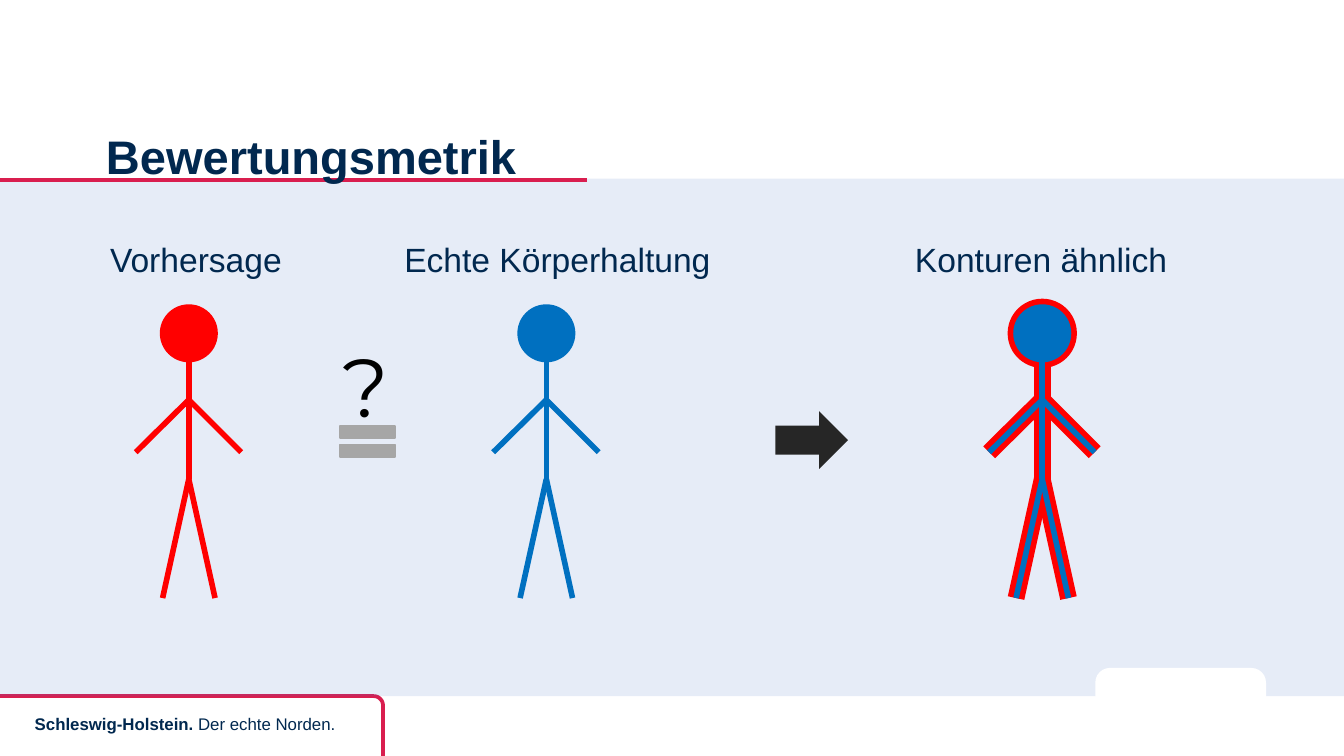
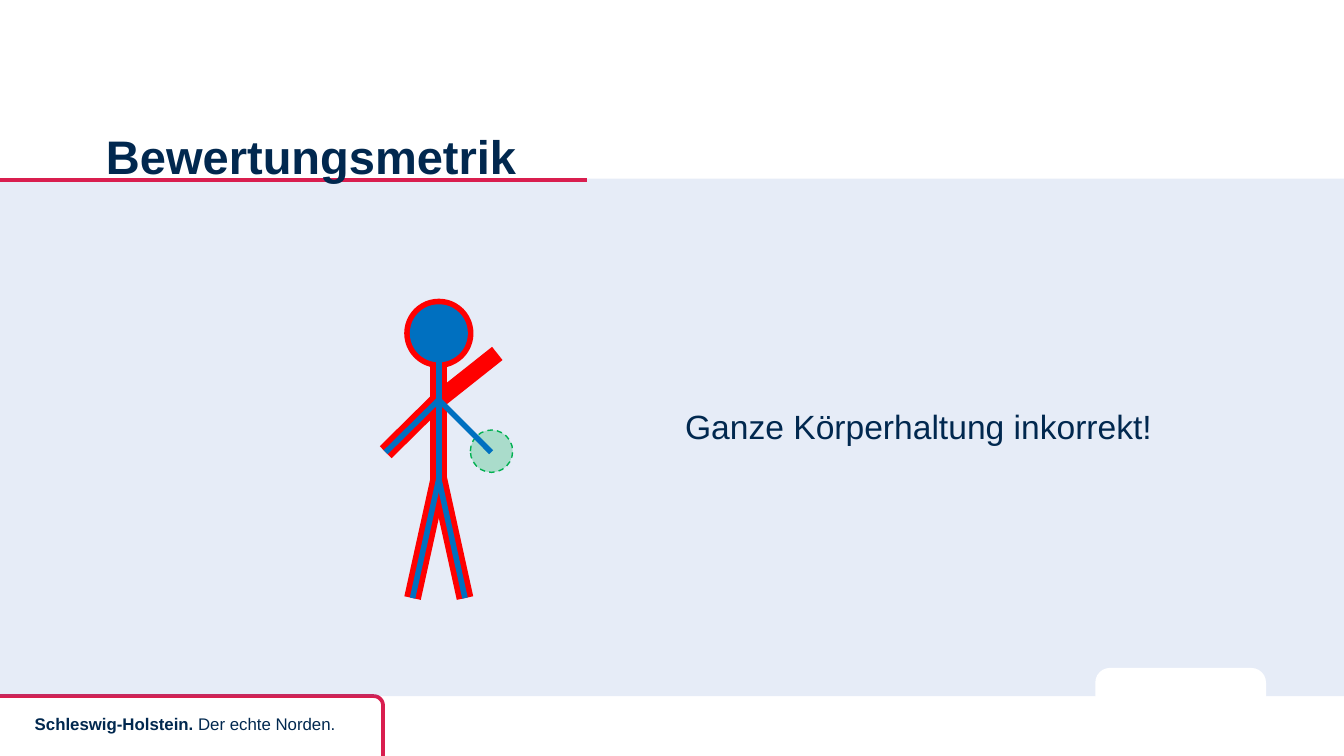
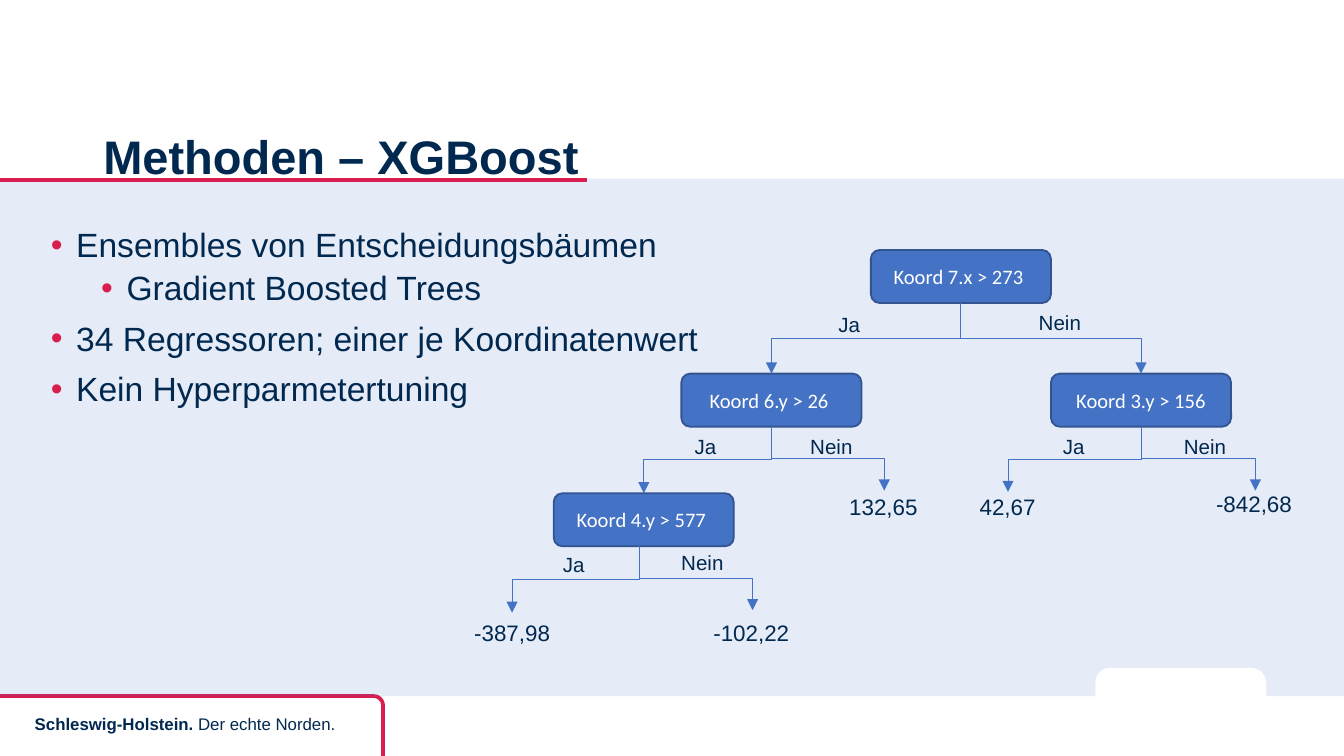
from math import cos, pi, sin

from lxml.etree import SubElement
from pptx import Presentation
from pptx.dml.color import RGBColor as RGB
from pptx.enum.dml import MSO_LINE as Dash
from pptx.enum.shapes import MSO_CONNECTOR as Link, MSO_SHAPE as Kind
from pptx.enum.text import MSO_ANCHOR as Anchor, PP_ALIGN as Align
from pptx.oxml.ns import qn
from pptx.util import Inches, Pt

# The grid has square cells: 100 columns by 56.25 rows.
WIDE, HIGH = 100, 56.25
CELL = Inches(10) / WIDE

NAVY, PINK, SKY = "01284F", "D91E4F", "4472C4"
RED, BLUE, WHITE = "FF0000", "0070C0", "FFFFFF"
EDGE, GREEN, GREY, DARK, BLACK = "325491", "00B050", "A6A6A6", "262626", "000000"

TITLE = {"size": Pt(25.2), "bold": True}
LABEL = {"size": Pt(18)}
VALUE = {"size": Pt(12)}
CHOICE = {"size": Pt(11)}
NODE = {"size": Pt(11), "name": "Calibri"}
SMALL = {"size": Pt(9)}
TIGHT = {"line_spacing": 0.9}


def cells(*nums):
    return [round(n * CELL) for n in nums]


def color(hue):
    return RGB.from_string(hue)


def assign(item, values):
    for key, value in values.items():
        setattr(item, key, value)


def stroke(line, hue, width):
    line.color.rgb = color(hue)
    line.width = Pt(width)


def paint(shape, hue, edge=None, width=1, alpha=None):
    """Fill and outline a shape; alpha is the opacity in percent."""
    shape.shadow.inherit = False
    shape.fill.solid()
    shape.fill.fore_color.rgb = color(hue)
    if alpha:
        tint = shape._element.spPr.find(qn("a:solidFill"))[0]
        SubElement(tint, qn("a:alpha")).set("val", str(alpha * 1000))
    if edge:
        stroke(shape.line, edge, width)
    else:
        shape.line.fill.background()


def block(slide, kind, box, *look, **more):
    shape = slide.shapes.add_shape(kind, *cells(*box))
    paint(shape, *look, **more)
    return shape


def write(para, words, font, hue=NAVY):
    run = para.add_run()
    run.text = words
    assign(run.font, {"name": "Arial", **font})
    run.font.color.rgb = color(hue)


def text(slide, box, words, font, hue=NAVY, wrap=False, **frame):
    body = slide.shapes.add_textbox(*cells(*box)).text_frame
    assign(body, {"word_wrap": wrap, **frame})
    write(body.paragraphs[0], words, font, hue)
    return body


def link(slide, start, end, hue, width, kind=Link.STRAIGHT):
    line = slide.shapes.add_connector(kind, *cells(*start, *end))
    stroke(line.line, hue, width)
    SubElement(line._element.spPr, qn("a:effectLst"))
    return line


def branch(slide, start, end):
    """Arrow that goes down, sideways and down again."""
    (x1, y1), (x2, y2) = start, end
    midx, midy = (x1 + x2) / 2, (y1 + y2) / 2
    wide, high = abs(x2 - x1) / 2, (y2 - y1) / 2
    left = x2 < x1
    if not left:
        high = -high
    line = link(slide, (midx - high, midy - wide), (midx + high, midy + wide),
                SKY, 0.5, Link.ELBOW)
    spot = line._element.spPr.find(qn("a:xfrm"))
    spot.set("rot", str((90 if left else 270) * 60000))
    tip = line._element.spPr.find(qn("a:ln"))
    SubElement(tip, qn("a:tailEnd")).set("type", "triangle")


def corner(slide):
    """Footer outline with a rounded top right corner."""
    top, right, bend = 51.8, 28.5, 0.7
    turns = [pi / 2 * (1 - n / 8) for n in range(9)]
    arc = [cells(right - bend + bend * cos(t), top + bend - bend * sin(t))
           for t in turns]
    pen = slide.shapes.build_freeform(*cells(0, top))
    pen.add_line_segments(arc + [cells(right, HIGH)], close=False)
    shape = pen.convert_to_shape()
    shape.shadow.inherit = False
    shape.fill.background()
    stroke(shape.line, PINK, 2)


def page(deck, title, left=6.9):
    slide = deck.slides.add_slide(deck.slide_layouts[6])
    corner(slide)
    block(slide, Kind.RECTANGLE, (0, 13.3, WIDE, 38.5), SKY, alpha=13)
    link(slide, (0, 13.4), (43.7, 13.4), PINK, 2)
    tab = block(slide, Kind.ROUND_2_SAME_RECTANGLE, (81.5, 49.7, 12.7, 6.5), WHITE)
    tab.adjustments[0] = 0.167
    head = text(slide, (left, 9.7, 86.2, 4.3), title, TITLE, wrap=True,
                vertical_anchor=Anchor.MIDDLE)
    assign(head.paragraphs[0], TIGHT)
    foot = text(slide, (1.6, 53, 24.8, 3.2), "Schleswig-Holstein. ",
                {**SMALL, "bold": True}, wrap=True, margin_top=cells(0.1)[0])
    write(foot.paragraphs[0], "Der echte Norden.", SMALL)
    return slide


def person(slide, mid, hue, width, hand=(3.9, 33.65)):
    """Stick figure around the column mid; hand is the end of the right arm."""
    neck, arms, hip, feet, size = 25.8, 29.75, 35.65, 44.5, 3.9
    limbs = [(neck, 0, hip), (hip, 1.95, feet), (hip, -1.95, feet),
             (arms, *hand), (arms, -3.95, 33.65)]
    for top, side, low in limbs:
        link(slide, (mid, top), (mid + side, low), hue, width)
    block(slide, Kind.OVAL, (mid - size / 2, 22.85, size, size), hue, hue, width)


def bullets(slide, box, items):
    body = slide.shapes.add_textbox(*cells(*box)).text_frame
    body.word_wrap = True
    for n, (level, words) in enumerate(items):
        para = body.add_paragraph() if n else body.paragraphs[0]
        assign(para, {"level": level, "space_before": Pt(3.8 if level else 7.5), **TIGHT})
        write(para, words, LABEL)
        props = para._p.get_or_add_pPr()
        hang, left = cells(-1.88, 1.88 + 3.75 * level)
        props.set("marL", str(left))
        props.set("indent", str(hang))
        tint = SubElement(props, qn("a:buClr"))
        SubElement(tint, qn("a:srgbClr")).set("val", PINK)
        SubElement(props, qn("a:buFont")).set("typeface", "Arial")
        SubElement(props, qn("a:buChar")).set("char", "•")


def node(slide, left, top, words):
    shape = block(slide, Kind.ROUNDED_RECTANGLE, (left, top, 13.4, 3.95), SKY, EDGE)
    body = shape.text_frame
    assign(body, {"word_wrap": True, "vertical_anchor": Anchor.MIDDLE})
    body.paragraphs[0].alignment = Align.CENTER
    write(body.paragraphs[0], words, NODE, WHITE)


def compare(deck):
    slide = page(deck, "Bewertungsmetrik")
    person(slide, 40.65, BLUE, 3)
    person(slide, 14.05, RED, 3)
    for left, wide, words in [(7.2, 15.1, "Vorhersage"),
                              (29.1, 25, "Echte Körperhaltung"),
                              (67.1, 21, "Konturen ähnlich")]:
        text(slide, (left, 17.3, wide, 4), words, LABEL)
    block(slide, Kind.MATH_EQUAL, (24.6, 30.9, 5.5, 3.9), GREY, GREY)
    text(slide, (24.5, 24.5, 5.8, 8.4), "?",
         {"size": Pt(44), "name": "Montserrat"}, BLACK)
    for hue, width in [(RED, 9), (BLUE, 3)]:
        person(slide, 77.55, hue, width)
    block(slide, Kind.RIGHT_ARROW, (57.7, 30.6, 5.4, 4.3), DARK)


def reject(deck):
    slide = page(deck, "Bewertungsmetrik")
    zone = block(slide, Kind.OVAL, (35, 32, 3.15, 3.15), GREEN, GREEN, 0.75, alpha=26)
    zone.line.dash_style = Dash.DASH
    person(slide, 32.65, RED, 9, hand=(4.35, 26.3))
    person(slide, 32.65, BLUE, 3)
    text(slide, (50, 29.7, 41.7, 4), "Ganze Körperhaltung inkorrekt!", LABEL, wrap=True)


def forest(deck):
    slide = page(deck, "Methoden – XGBoost", left=6.7)
    bullets(slide, (2.8, 16.5, 86.2, 34.5), [
        (0, "Ensembles von Entscheidungsbäumen"),
        (1, "Gradient Boosted Trees"),
        (0, "34 Regressoren; einer je Koordinatenwert"),
        (0, "Kein Hyperparmetertuning")])
    # Node corner and wording, root of the arrows, their tips, then the labels.
    tree = [
        (64.8, 18.6, "Koord 7.x > 273 ", 71.5, (57.4, 27.8), (84.9, 27.8),
         (61.4, 22.7), (76.3, 22.6)),
        (78.2, 27.8, "Koord 3.y > 156", 84.9, (75, 36.6), (93.4, 36.5),
         (78.1, 31.8), (87.1, 31.8)),
        (50.7, 27.8, "Koord 6.y > 26 ", 57.4, (47.9, 36.7), (65.8, 36.5),
         (50.7, 31.8), (59.3, 31.8)),
        (41.2, 36.7, "Koord 4.y > 577 ", 47.6, (38.1, 45.6), (56, 45.4),
         (40.9, 40.6), (49.7, 40.4))]
    for left, top, words, root, *rest in tree:
        node(slide, left, top, words)
    for left, top, words, root, low, high, yes, no in tree:
        for tip in (low, high):
            branch(slide, (root, top + 3.95), tip)
        text(slide, (*yes, 3.6, 2.9), "Ja", CHOICE)
        text(slide, (*no, 5.2, 2.9), "Nein", CHOICE)
    for left, top, wide, words in [(34.3, 45.6, 7.7, "-387,98"),
                                   (52.1, 45.6, 7.7, "-102,22"),
                                   (62.2, 36.2, 7.1, "132,65"),
                                   (71.9, 36.2, 6.2, "42,67"),
                                   (89.5, 36, 7.7, "-842,68")]:
        text(slide, (left, top, wide, 3), words, VALUE)


def main():
    deck = Presentation()
    deck.slide_width, deck.slide_height = cells(WIDE, HIGH)
    for build in (compare, reject, forest):
        build(deck)
    deck.save("out.pptx")


if __name__ == "__main__":
    main()
